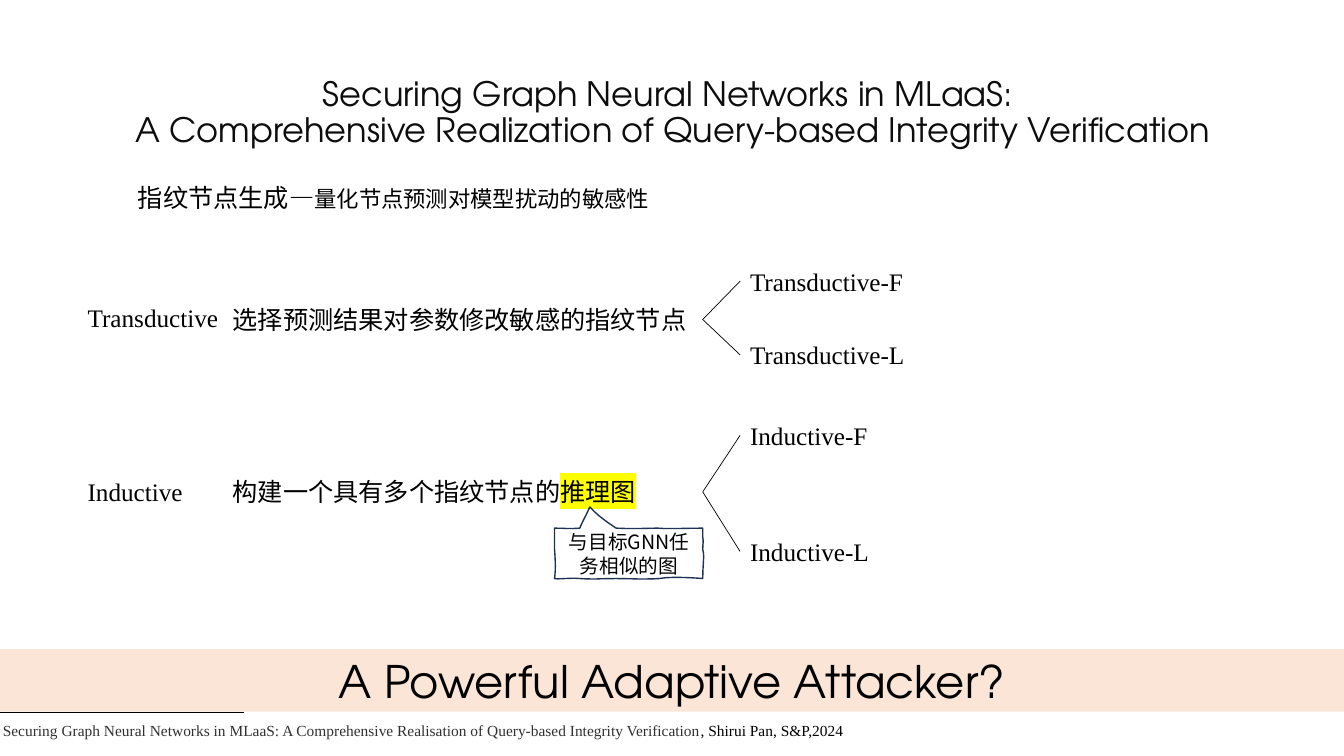
from lxml import etree
from pptx import Presentation
from pptx.dml.color import RGBColor
from pptx.enum.shapes import MSO_CONNECTOR, MSO_SHAPE
from pptx.enum.text import MSO_ANCHOR, MSO_AUTO_SIZE, PP_ALIGN
from pptx.oxml.ns import qn
from pptx.util import Inches, Pt

STRAIGHT = MSO_CONNECTOR.STRAIGHT
RECTANGLE = MSO_SHAPE.RECTANGLE
MIDDLE = MSO_ANCHOR.MIDDLE
CENTER = PP_ALIGN.CENTER
GROW = MSO_AUTO_SIZE.SHAPE_TO_FIT_TEXT
NO_FIT = MSO_AUTO_SIZE.NONE

BLACK = RGBColor(0x00, 0x00, 0x00)
INK = RGBColor(0x0D, 0x0D, 0x0D)
GRAY = RGBColor(0x31, 0x31, 0x31)
NAVY = RGBColor(0x1E, 0x32, 0x56)
PEACH = RGBColor(0xFB, 0xE5, 0xD6)
YELLOW = RGBColor(0xFF, 0xFF, 0x00)

DISPLAY = "TeX Gyre Adventor"
CJK = "Noto Sans CJK SC"
SERIF = "Times New Roman"

UNITS_PER_INCH = 1000
CALLOUT_START = (5.5, 5.24)
CALLOUT_CURVES = [
    ((5.61, 5.24), (5.63, 5.25), (5.75, 5.24)),
    ((5.77, 5.19), (5.81, 5.12), (5.85, 5.03)),
    ((5.94, 5.13), (6.04, 5.19), (6.11, 5.24)),
    ((6.29, 5.25), (6.42, 5.24), (6.52, 5.24)),
    ((6.61, 5.25), (6.83, 5.24), (6.97, 5.24)),
    ((6.97, 5.28), (6.97, 5.3), (6.97, 5.33)),
    ((6.98, 5.37), (6.97, 5.39), (6.97, 5.45)),
    ((6.99, 5.52), (6.97, 5.6), (6.97, 5.74)),
    ((6.85, 5.73), (6.64, 5.72), (6.54, 5.74)),
    ((6.45, 5.75), (6.21, 5.74), (6.11, 5.74)),
    ((5.95, 5.74), (5.87, 5.75), (5.75, 5.74)),
    ((5.65, 5.73), (5.55, 5.75), (5.5, 5.74)),
    ((5.51, 5.68), (5.51, 5.57), (5.5, 5.45)),
    ((5.5, 5.4), (5.5, 5.35), (5.5, 5.33)),
]


def flatten(start, curves, steps=6):
    """Return points along a chain of cubic curves, with its start."""
    points = [start]
    for c1, c2, end in curves:
        for i in range(1, steps + 1):
            t = i / steps
            u = 1 - t
            points.append(tuple(
                u**3 * a + 3 * u * u * t * b + 3 * u * t * t * c + t**3 * d
                for a, b, c, d in zip(start, c1, c2, end)))
        start = end
    return points


class SlideBuilder:
    """Holds the slide and its text style."""

    def __init__(self, prs):
        """Add a slide with a title only."""
        self.s = prs.slides.add_slide(prs.slide_layouts[5])

    def run(self, p, text, size, font, color=BLACK, highlight=None):
        """Add one formatted run."""
        r = p.add_run()
        r.text = text
        r.font.size = Pt(size)
        r.font.color.rgb = color
        rPr = r.font._element
        if highlight is not None:
            mark = etree.SubElement(rPr, qn("a:highlight"))
            etree.SubElement(mark, qn("a:srgbClr")).set("val", str(highlight))
        r.font.name = font
        etree.SubElement(rPr, qn("a:ea")).set("typeface", font)

    def title(self, box, lines):
        """Place and fill the title placeholder."""
        sp = self.s.shapes.title
        sp.left, sp.top, sp.width, sp.height = map(Inches, box)
        tf = sp.text_frame
        tf.auto_size = NO_FIT
        tf.vertical_anchor = MIDDLE
        p = tf.paragraphs[0]
        p.alignment = CENTER
        p.line_spacing = 0.9
        for i, line in enumerate(lines):
            if i:
                p.add_line_break()
            self.run(p, line, 24, DISPLAY, INK)

    def text(self, left, top, width, *runs, height=0.4):
        """Add a text box from run tuples."""
        sp = self.s.shapes.add_textbox(*map(Inches, (left, top, width, height)))
        tf = sp.text_frame
        tf.word_wrap = True
        tf.auto_size = GROW
        for args in runs:
            self.run(tf.paragraphs[0], *args)
        return sp

    def line(self, start, end):
        """Add a thin black line."""
        cx = self.s.shapes.add_connector(STRAIGHT, *map(Inches, start + end))
        cx.line.color.rgb = BLACK
        cx.line.width = Pt(0.5)
        etree.SubElement(cx._element.spPr, qn("a:effectLst"))
        return cx

    def branch(self, source, target):
        """Join the right side of one box to the left side of another."""
        cx = self.line((0, 0), (1, 1))
        cx.begin_connect(source, 3)
        cx.end_connect(target, 1)

    def label(self, sp, *run):
        """Centre one run in a shape."""
        sp.shadow.inherit = False
        tf = sp.text_frame
        tf.word_wrap = True
        tf.vertical_anchor = MIDDLE
        tf.paragraphs[0].alignment = CENTER
        self.run(tf.paragraphs[0], *run)

    def banner(self, box, *run):
        """Add a filled bar with centred text."""
        sp = self.s.shapes.add_shape(RECTANGLE, *map(Inches, box))
        sp.fill.solid()
        sp.fill.fore_color.rgb = PEACH
        sp.line.fill.background()
        self.label(sp, *run)

    def callout(self, *run):
        """Add the hand-drawn callout."""
        points = [(x * UNITS_PER_INCH, y * UNITS_PER_INCH)
                  for x, y in flatten(CALLOUT_START, CALLOUT_CURVES)]
        fb = self.s.shapes.build_freeform(
            *points[0], scale=Inches(1) / UNITS_PER_INCH)
        fb.add_line_segments(points[1:], close=True)
        sp = fb.convert_to_shape()
        sp.fill.background()
        sp.line.color.rgb = NAVY
        sp.line.width = Pt(1)
        self.label(sp, *run)
        sp.text_frame.margin_top = Inches(0.21)
        sp.text_frame.margin_bottom = 0


def main():
    """Build and save the slide."""
    prs = Presentation()
    prs.slide_width, prs.slide_height = Inches(13.33), Inches(7.5)
    b = SlideBuilder(prs)
    b.title((0.92, 0.4, 11.5, 1.45), [
        "Securing Graph Neural Networks in MLaaS: ",
        "A Comprehensive Realization of Query-based Integrity Verification"])
    b.text(1.27, 1.76, 9.53, ("指纹节点生成—", 18, CJK),
           ("量化节点预测对模型扰动的敏感性", 16, CJK))
    b.line((0, 7.07), (2.42, 7.07))

    settings = [
        ("Transductive", 2.95, 2.97, 2.59, 3.32,
         [("选择预测结果对参数修改敏感的指纹节点", 18, CJK)]),
        ("Inductive", 4.68, 4.68, 4.12, 5.27,
         [("构建一个具有多个指纹节点的", 18, CJK),
          ("推理图", 18, CJK, BLACK, YELLOW)]),
    ]
    for name, name_top, top, full_top, limited_top, runs in settings:
        b.text(0.77, name_top, 2.42, (name, 18, SERIF))
        method = b.text(2.21, top, 4.76, *runs)
        for suffix, variant_top in (("F", full_top), ("L", limited_top)):
            variant = b.text(7.34, variant_top, 2.08,
                             (f"{name}-{suffix}", 18, SERIF))
            b.branch(method, variant)

    b.callout("与目标GNN任务相似的图", 14, CJK)
    b.banner((0, 6.44, 13.33, 0.62),
             "A Powerful Adaptive Attacker?", 32, DISPLAY)
    b.text(-0.07, 7.1, 9.14,
           ("Securing Graph Neural Networks in MLaaS: A Comprehensive "
            "Realisation of Query-based Integrity Verification",
            11, SERIF, GRAY),
           (", Shirui Pan, S&P,2024", 11, SERIF), height=0.29)
    prs.save("out.pptx")


if __name__ == "__main__":
    main()
